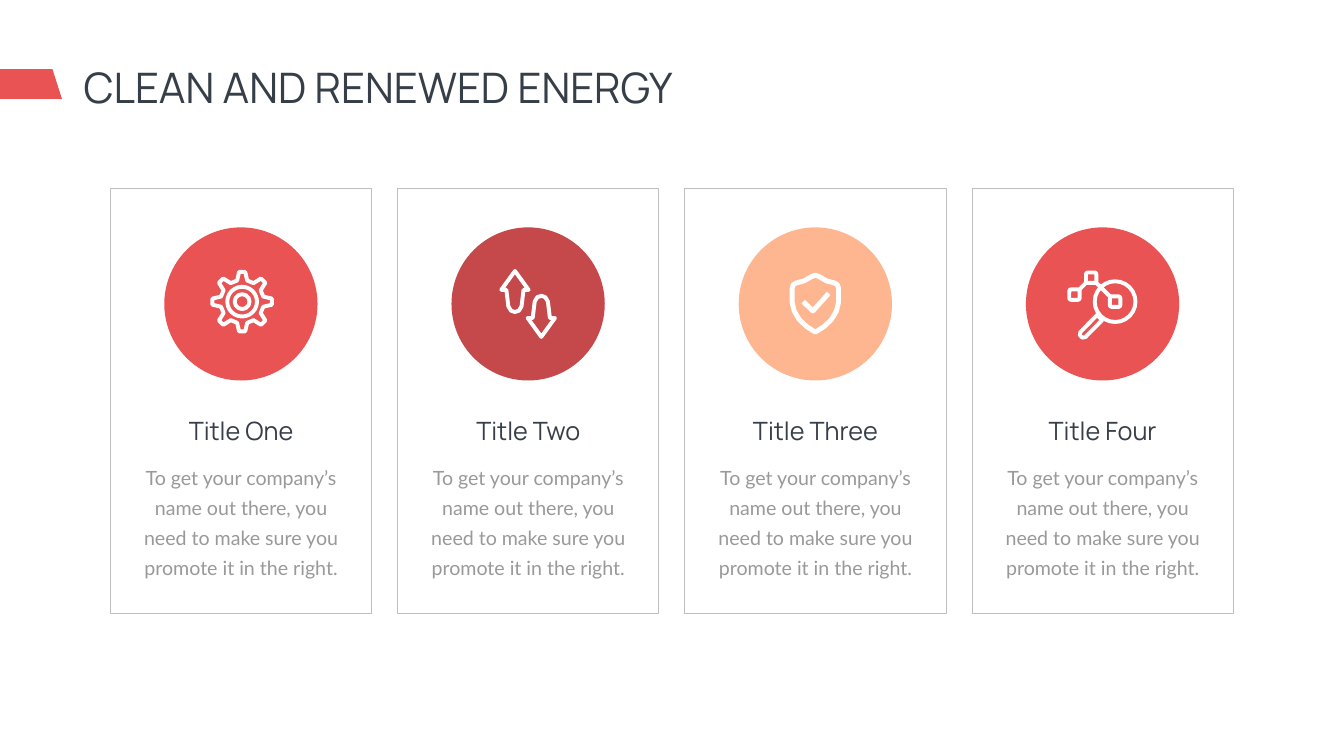
import math
import pptx
import pptx.dml.color
import pptx.enum.shapes
import pptx.enum.text
import pptx.oxml.ns
import pptx.util
from lxml import etree

SHAPE = pptx.enum.shapes.MSO_SHAPE
HEADING = {"name": "Manrope", "color": "363E48"}
BODY = {"name": "Lato", "color": "999999", "size": 28}
BODY_TEXT = "To get your company’s name out there, you need to make sure you promote it in the right."
STROKE = 5.6


def rgb(value):
    return pptx.dml.color.RGBColor.from_string(value)


def cell(box, x, y, w, h):
    left, top, width, height = box
    return (round(left + width * x / 100), round(top + height * y / 100),
            round(width * w / 100), round(height * h / 100))


def from_center(box, x, y):
    return cell(box, 50 + x, 50 + y, 0, 0)[:2]


def paint(shape, fill=None, line=None, width=1):
    shape.shadow.inherit = False
    if fill:
        shape.fill.solid()
        shape.fill.fore_color.rgb = rgb(fill)
    else:
        shape.fill.background()
    if line:
        shape.line.color.rgb = rgb(line)
        shape.line.width = pptx.util.Pt(width)
        ln = shape._element.spPr.find(pptx.oxml.ns.qn("a:ln"))
        etree.SubElement(ln, pptx.oxml.ns.qn("a:round"))
    else:
        shape.line.fill.background()


def add_text(s, box, text, font, align="LEFT", spacing=None):
    tf = s.shapes.add_textbox(*box).text_frame
    tf.word_wrap = True
    tf.vertical_anchor = pptx.enum.text.MSO_ANCHOR.MIDDLE
    p = tf.paragraphs[0]
    p.alignment = getattr(pptx.enum.text.PP_ALIGN, align)
    if spacing:
        p.line_spacing = pptx.util.Pt(spacing)
    r = p.add_run()
    r.text = text
    for key, value in font.items():
        if key == "color":
            r.font.color.rgb = rgb(value)
        else:
            setattr(r.font, key, pptx.util.Pt(value) if key == "size" else value)


def add_outline(s, points, close=True, **style):
    builder = s.shapes.build_freeform(*points[0], scale=1.0)
    builder.add_line_segments(points[1:], close=close)
    paint(builder.convert_to_shape(), **style)


def icon_path(s, box, points, close=True, width=STROKE):
    add_outline(s, [from_center(box, x, y) for x, y in points], close,
                line="FFFFFF", width=width)


def icon_shape(s, box, kind, x, y, radius):
    sp = s.shapes.add_shape(kind, *cell(box, 50 + x - radius, 50 + y - radius,
                                        2 * radius, 2 * radius))
    paint(sp, line="FFFFFF", width=STROKE)


def icon_link(s, box, start, end):
    link = s.shapes.add_connector(pptx.enum.shapes.MSO_CONNECTOR.STRAIGHT,
                                  *from_center(box, *start), *from_center(box, *end))
    link.line.color.rgb = rgb("FFFFFF")
    link.line.width = pptx.util.Pt(STROKE)
    etree.SubElement(link._element.spPr, pptx.oxml.ns.qn("a:effectLst"))


def mirrored(half):
    return half + [(-x, y) for x, y in reversed(half[1:-1])]


def draw_gear(s, box):
    cx, cy = 0.8, -1.5
    tooth = [(-3.3, -13.8), (-2, -19.4), (2, -19.4), (3.3, -13.8)]
    points = []
    for i in range(8):
        c, n = math.cos(i * math.pi / 4), math.sin(i * math.pi / 4)
        points += [(cx + x * c - y * n, cy + x * n + y * c) for x, y in tooth]
    icon_path(s, box, points)
    for radius in (9.7, 4.85):
        icon_shape(s, box, SHAPE.OVAL, cx, cy, radius)


def draw_arrows(s, box):
    arrow = mirrored([(0, -21.5), (8.9, -9.2), (5.6, -9.2), (4.3, 1.6), (2.6, 4.4), (0, 5.3)])
    for sign in (1, -1):
        icon_path(s, box, [(sign * (x - 8.6), sign * y) for x, y in arrow])


def draw_shield(s, box):
    icon_path(s, box, [(-7.9, -1.5), (-1.6, 4.6), (8.7, -6.9)], close=False, width=7)
    icon_path(s, box, mirrored([
        (0, -18.8), (2.6, -17.8), (7.2, -15.1), (12.5, -13.7), (14.4, -12.6), (15.1, -10.5),
        (15.1, -1), (13.8, 4.6), (10.5, 10.2), (5.6, 14.8), (0, 18.4)]), width=7)


def draw_magnifier(s, box):
    icon_shape(s, box, SHAPE.OVAL, 8.2, -1.5, 13.3)
    for x, y in [(8.2, -1.5), (-7.4, -17.1), (-18.3, -6.1)]:
        icon_shape(s, box, SHAPE.ROUNDED_RECTANGLE, x, y, 3.4)
    icon_link(s, box, (-4.6, -14.3), (5.4, -4.3))
    icon_link(s, box, (-10.1, -14.4), (-15.6, -8.9))
    icon_path(s, box, [(-3.5, 7.2), (-14.5, 18.4), (-14.8, 20.4), (-13.2, 22),
                       (-11.2, 21.7), (-0.2, 10.5)])


def add_header(s, box):
    flag = [(0, 9.13), (3.9, 9.13), (4.61, 13.07), (0, 13.07)]
    add_outline(s, [cell(box, x, y, 0, 0)[:2] for x, y in flag], fill="E95354")
    add_text(s, cell(box, 5.85, 7.73, 58.14, 7.4), "CLEAN AND RENEWED ENERGY",
             {**HEADING, "size": 60})


def add_card(s, box, title, color, draw_icon):
    paint(s.shapes.add_shape(SHAPE.RECTANGLE, *box), line="BFBFBF")
    circle = cell(box, 20.65, 9.25, 58.7, 36)
    paint(s.shapes.add_shape(SHAPE.OVAL, *circle), fill=color)
    draw_icon(s, circle)
    add_text(s, cell(box, 9.6, 63.27, 80.9, 29.15), BODY_TEXT, BODY, "CENTER", 43)
    add_text(s, cell(box, 9.6, 52.84, 80.9, 8.41), title, {**HEADING, "size": 36}, "CENTER")


def main():
    prs = pptx.Presentation()
    prs.slide_width = pptx.util.Inches(26.66)
    prs.slide_height = pptx.util.Inches(15)
    s = prs.slides.add_slide(prs.slide_layouts[6])
    page = (0, 0, prs.slide_width, prs.slide_height)
    add_header(s, page)
    cards = [("Title One", "E95354", draw_gear), ("Title Two", "C5494B", draw_arrows),
             ("Title Three", "FEB691", draw_shield), ("Title Four", "E95353", draw_magnifier)]
    for i, card in enumerate(cards):
        add_card(s, cell(page, 8.21 + i * 21.37, 24.87, 19.43, 56.27), *card)
    prs.save("out.pptx")


if __name__ == "__main__":
    main()
